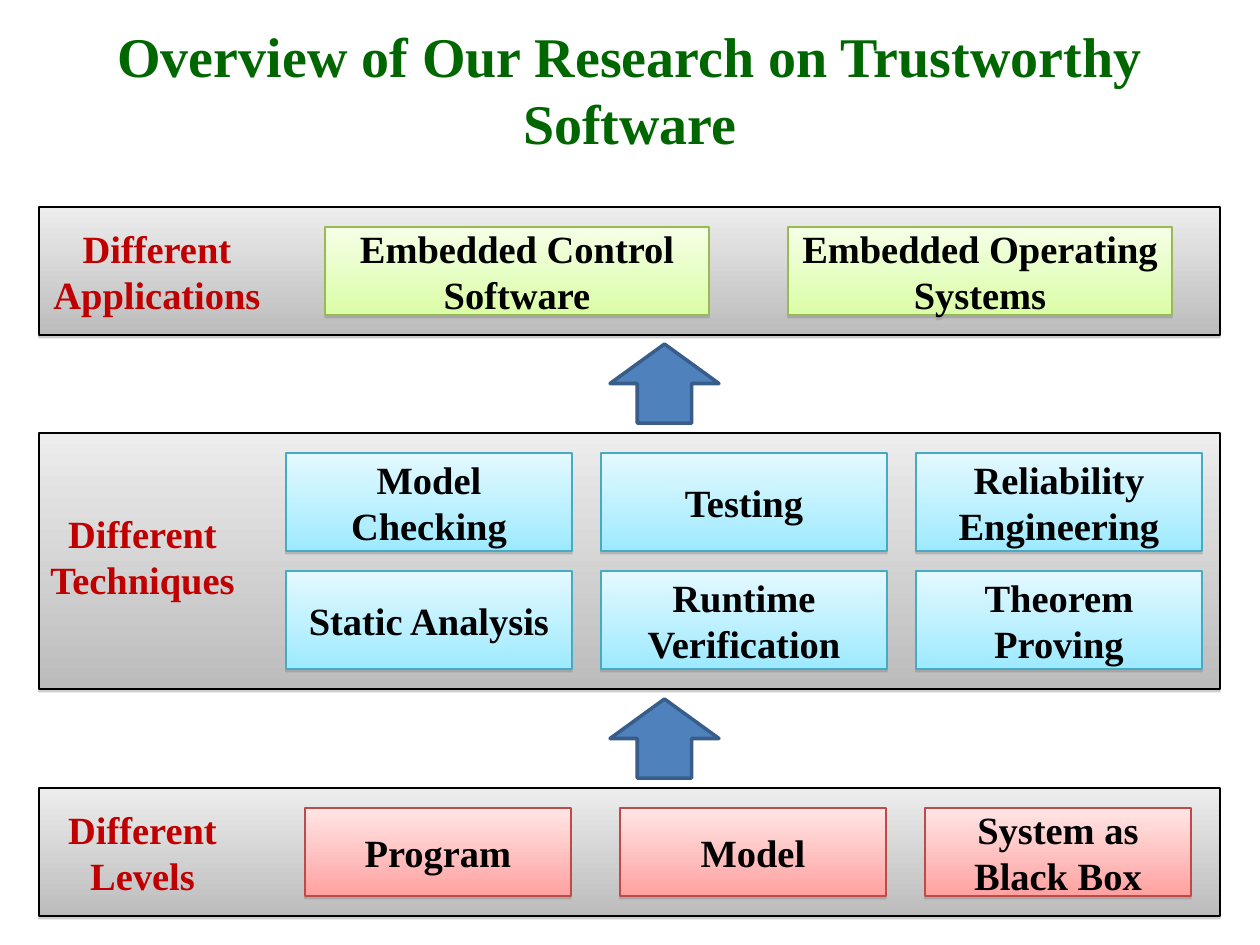
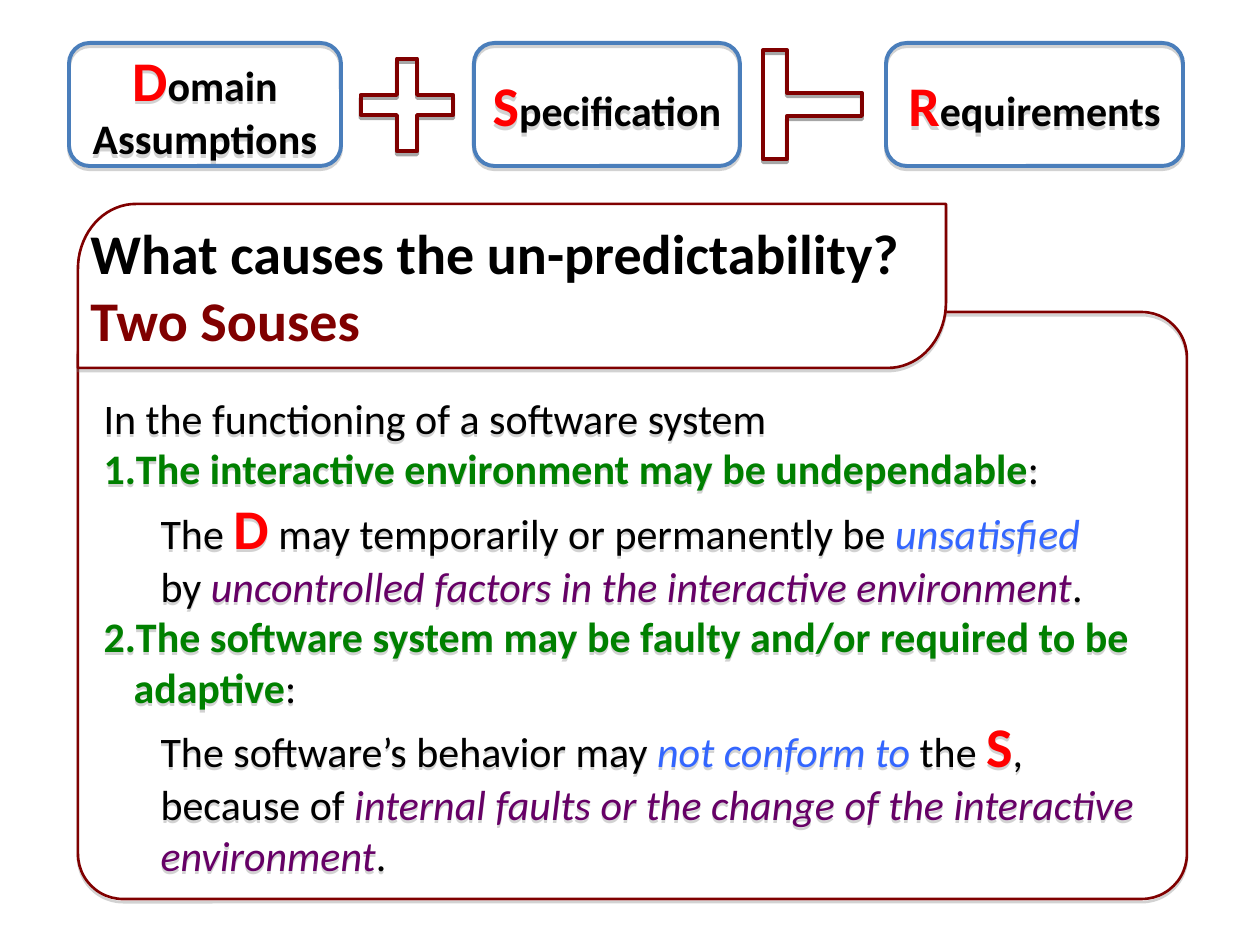
import math
from dataclasses import dataclass

from lxml import etree
from pptx import Presentation
from pptx import util as u
from pptx.dml.color import RGBColor
from pptx.enum import shapes, text
from pptx.oxml.ns import qn

PX = 914400 / 126
BLANK, TITLE_ONLY = 6, 5


def px(length):
    return u.Emu(round(length * PX))


@dataclass(frozen=True)
class Style:
    """Look of one run of text."""
    size: int
    color: str
    bold: bool = False
    italic: bool = False


@dataclass(frozen=True)
class Paint:
    """Fill colours (none, one, or two for a gradient), outline and shadow."""
    fill: tuple
    line: str
    width: float
    shadow: tuple = None  # colour, opacity in percent, distance in EMU


class Theme:
    diagram_font = "Times New Roman"
    text_font = "Calibri"
    maroon, red, black = "800000", "FF0000", "000000"
    # Text
    title = Style(32, "006600", True)
    label = Style(22, "C00000", True)
    tile = Style(22, black, True)
    body = Style(24, black)
    strong = Style(24, black, True)
    letter = Style(32, red, True)
    question = Style(32, black, True)
    answer = Style(32, maroon, True)
    point = Style(24, "008000", True)
    failure = Style(24, "3366FF", italic=True)
    cause = Style(24, "660066", italic=True)
    # Shapes
    soft = ("808080", 38, 20000)
    drop = ("808080", 35, 23000)
    band = Paint(("EDEDED", "BCBCBC"), black, 0.75, soft)
    green = Paint(("F5FFE6", "DAFDA7"), "98B954", 0.75, soft)
    cyan = Paint(("E4F9FF", "9EEAFF"), "46AAC5", 0.75, soft)
    pink = Paint(("FFE5E5", "FFA2A1"), "BE4B48", 0.75, soft)
    arrow = Paint(("4F81BD",), "385D8A", 2)
    term = Paint((), "4A7EBB", 2.25, drop)
    panel = Paint((), maroon, 1.5, drop)
    tab = Paint(("FFFFFF",), maroon, 1.5, drop)
    symbol = Paint((), maroon, 2.25, (black, 35, 23000))


class Deck:
    def __init__(self, theme):
        self.theme = theme
        self.presentation = Presentation()
        self.presentation.slide_width = px(1260)
        self.presentation.slide_height = px(945)
        self.slide = None
        self.font = None

    def new_slide(self, layout, font):
        layouts = self.presentation.slide_layouts
        self.slide = self.presentation.slides.add_slide(layouts[layout])
        self.font = font

    def title(self, words, box):
        shape = self.slide.shapes.title
        shape.left, shape.top, shape.width, shape.height = map(px, box)
        self.add_text(shape, [[(words, self.theme.title)]])

    def shape(self, kind, box, paint, adjustments=()):
        shape = self.slide.shapes.add_shape(kind, *map(px, box))
        for index, value in enumerate(adjustments):
            shape.adjustments[index] = value
        return self.paint(shape, paint)

    def outline(self, points, paint):
        points = [(px(x), px(y)) for x, y in points]
        builder = self.slide.shapes.build_freeform(*points[0])
        builder.add_line_segments(points[1:], close=True)
        return self.paint(builder.convert_to_shape(), paint)

    def tile(self, words, box, paint):
        shape = self.shape(shapes.MSO_SHAPE.RECTANGLE, box, paint)
        self.add_text(shape, [[(words, self.theme.tile)]])

    def label(self, words, box):
        shape = self.slide.shapes.add_textbox(*map(px, box))
        self.add_text(shape, [[(words, self.theme.label)]])

    def paint(self, shape, paint):
        if len(paint.fill) == 2:
            shape.fill.gradient()
            shape.fill.gradient_angle = 270
            for stop, color in zip(shape.fill.gradient_stops, paint.fill):
                stop.color.rgb = RGBColor.from_string(color)
        elif paint.fill:
            shape.fill.solid()
            shape.fill.fore_color.rgb = RGBColor.from_string(paint.fill[0])
        else:
            shape.fill.background()
        shape.line.color.rgb = RGBColor.from_string(paint.line)
        shape.line.width = u.Pt(paint.width)
        shape.shadow.inherit = False
        if paint.shadow:
            color, opacity, distance = paint.shadow
            effects = shape._element.spPr.find(qn("a:effectLst"))
            shadow = etree.SubElement(effects, qn("a:outerShdw"), blurRad="0",
                                      dist=str(distance), dir="5400000",
                                      rotWithShape="0")
            tint = etree.SubElement(shadow, qn("a:srgbClr"), val=color)
            etree.SubElement(tint, qn("a:alpha"), val=str(opacity * 1000))
        return shape

    def add_text(self, shape, paragraphs, align=text.PP_ALIGN.CENTER,
                 anchor=text.MSO_ANCHOR.MIDDLE, wrap=True):
        """Fill a shape with paragraphs, each a list of (words, style) runs."""
        frame = shape.text_frame
        frame.word_wrap = wrap
        frame.vertical_anchor = anchor
        for index, runs in enumerate(paragraphs):
            paragraph = frame.paragraphs[0] if index == 0 else frame.add_paragraph()
            paragraph.alignment = align
            for words, style in runs:
                run = paragraph.add_run()
                run.text = words
                font = run.font
                font.name, font.size = self.font, u.Pt(style.size)
                font.bold, font.italic = style.bold, style.italic
                font.color.rgb = RGBColor.from_string(style.color)
        return frame.paragraphs

    def indent(self, paragraph, margin, number=None):
        """Indent a paragraph; a number hangs in front of its text."""
        properties = paragraph._p.get_or_add_pPr()
        properties.set("marL", str(px(margin)))
        if number:
            properties.set("indent", str(-px(margin)))
            color = etree.SubElement(properties, qn("a:buClr"))
            etree.SubElement(color, qn("a:srgbClr"), val=self.theme.point.color)
            etree.SubElement(properties, qn("a:buAutoNum"),
                             type="arabicPeriod", startAt=str(number))


def research_overview(deck):
    theme = deck.theme
    deck.new_slide(TITLE_ONLY, theme.diagram_font)
    deck.title("Overview of Our Research on Trustworthy Software",
               (54, 10, 1152, 158))

    # Bands: top, height, label, label box, paint, tile size, columns, rows of tiles
    bands = [
        (207, 128, "Different Applications", (39, 227, 236, 88), theme.green,
         (384, 88), (325, 788),
         [["Embedded Control Software", "Embedded Operating Systems"]]),
        (433, 256, "Different Techniques", (29, 512, 227, 88), theme.cyan,
         (286, 98), (286, 601, 916),
         [["Model Checking", "Testing", "Reliability Engineering"],
          ["Static Analysis", "Runtime Verification", "Theorem Proving"]]),
        (788, 128, "Different Levels", (39, 808, 207, 88), theme.pink,
         (266, 88), (305, 620, 925),
         [["Program", "Model", "System as Black Box"]]),
    ]
    padding, row_step = 20, 118
    for top, height, label, label_box, paint, size, columns, rows in bands:
        deck.shape(shapes.MSO_SHAPE.RECTANGLE, (39, top, 1181, height), theme.band)
        deck.label(label, label_box)
        for row, names in enumerate(rows):
            for left, name in zip(columns, names):
                deck.tile(name, (left, top + padding + row * row_step, *size), paint)

    # Arrows between the bands
    for top in (344, 699):
        deck.shape(shapes.MSO_SHAPE.UP_ARROW, (610, top, 109, 79), theme.arrow,
                   (0.5, 0.5))


def arc(center_x, center_y, radius_x, radius_y, start):
    """Points of a quarter ellipse, clockwise from the start angle."""
    angles = [math.radians(start + step) for step in range(0, 91, 5)]
    return [(center_x + radius_x * math.cos(angle),
             center_y + radius_y * math.sin(angle)) for angle in angles]


def unpredictability(deck):
    theme = deck.theme
    deck.new_slide(BLANK, theme.text_font)

    # Panel with the two sources
    panel = deck.shape(shapes.MSO_SHAPE.ROUNDED_RECTANGLE, (78, 312, 1109, 587),
                       theme.panel, (0.077,))
    body = theme.body
    lines = [
        [("In the functioning of a software system", body)],
        [("The interactive environment may be undependable", theme.point), (":", body)],
        [("The ", body), ("D", theme.letter),
         (" may temporarily or permanently be ", body), ("unsatisfied", theme.failure)],
        [("by ", body),
         ("uncontrolled factors in the interactive environment", theme.cause),
         (".", body)],
        [("The software system may be faulty and/or required to be adaptive",
          theme.point), (":", body)],
        [("The software’s behavior may ", body), ("not conform to ", theme.failure),
         ("the ", body), ("S", theme.letter), (",", body)],
        [("because of ", body),
         ("internal faults or the change of the interactive", theme.cause)],
        [("environment", theme.cause), (".", body)],
    ]
    paragraphs = deck.add_text(panel, lines, text.PP_ALIGN.LEFT,
                               text.MSO_ANCHOR.BOTTOM)
    numbers = {1: 1, 4: 2}
    for index, paragraph in enumerate(paragraphs[1:], 1):
        number = numbers.get(index)
        deck.indent(paragraph, 30 if number else 57, number)

    # Heading tab, rounded at two opposite corners
    left, top, right, bottom = 78, 204, 946, 368
    radius_x, radius_y = 58, 65
    tab = deck.outline(
        arc(left + radius_x, top + radius_y, radius_x, radius_y, 180)
        + [(right, top)]
        + arc(right - radius_x, bottom - radius_y, radius_x, radius_y, 0)
        + [(left, bottom)], theme.tab)
    deck.add_text(tab, [[("What causes the un-predictability?", theme.question)],
                        [("Two Souses", theme.answer)]],
                  text.PP_ALIGN.LEFT, wrap=False)

    # Terms of the formula
    terms = [(69, 272, ["Domain", "Assumptions"]),
             (474, 266, ["Specification"]),
             (886, 297, ["Requirements"])]
    for left, width, (name, *more) in terms:
        shape = deck.shape(shapes.MSO_SHAPE.ROUNDED_RECTANGLE, (left, 43, width, 123),
                           theme.term, (0.167,))
        runs = [[(name[0], theme.letter), (name[1:], theme.strong)]]
        runs += [[(words, theme.strong)] for words in more]
        deck.add_text(shape, runs, wrap=False)

    # Plus and turnstile
    deck.shape(shapes.MSO_SHAPE.MATH_PLUS, (344, 42, 126, 126), theme.symbol, (0.16,))
    deck.outline([(763, 50), (787, 50), (787, 93), (862, 93), (862, 116),
                  (787, 116), (787, 159), (763, 159)], theme.symbol)


def main():
    deck = Deck(Theme())
    research_overview(deck)
    unpredictability(deck)
    deck.presentation.save("out.pptx")


if __name__ == "__main__":
    main()
